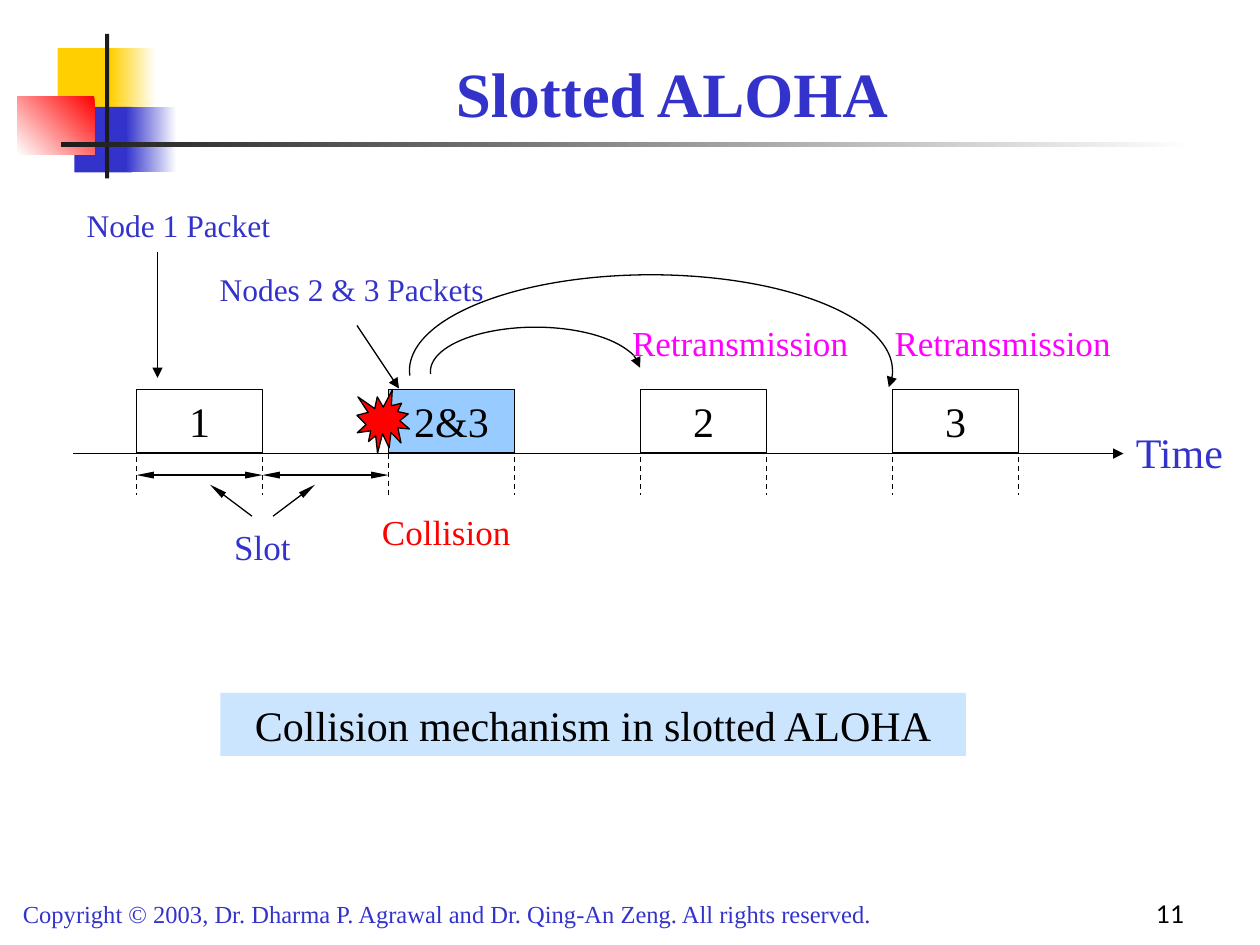
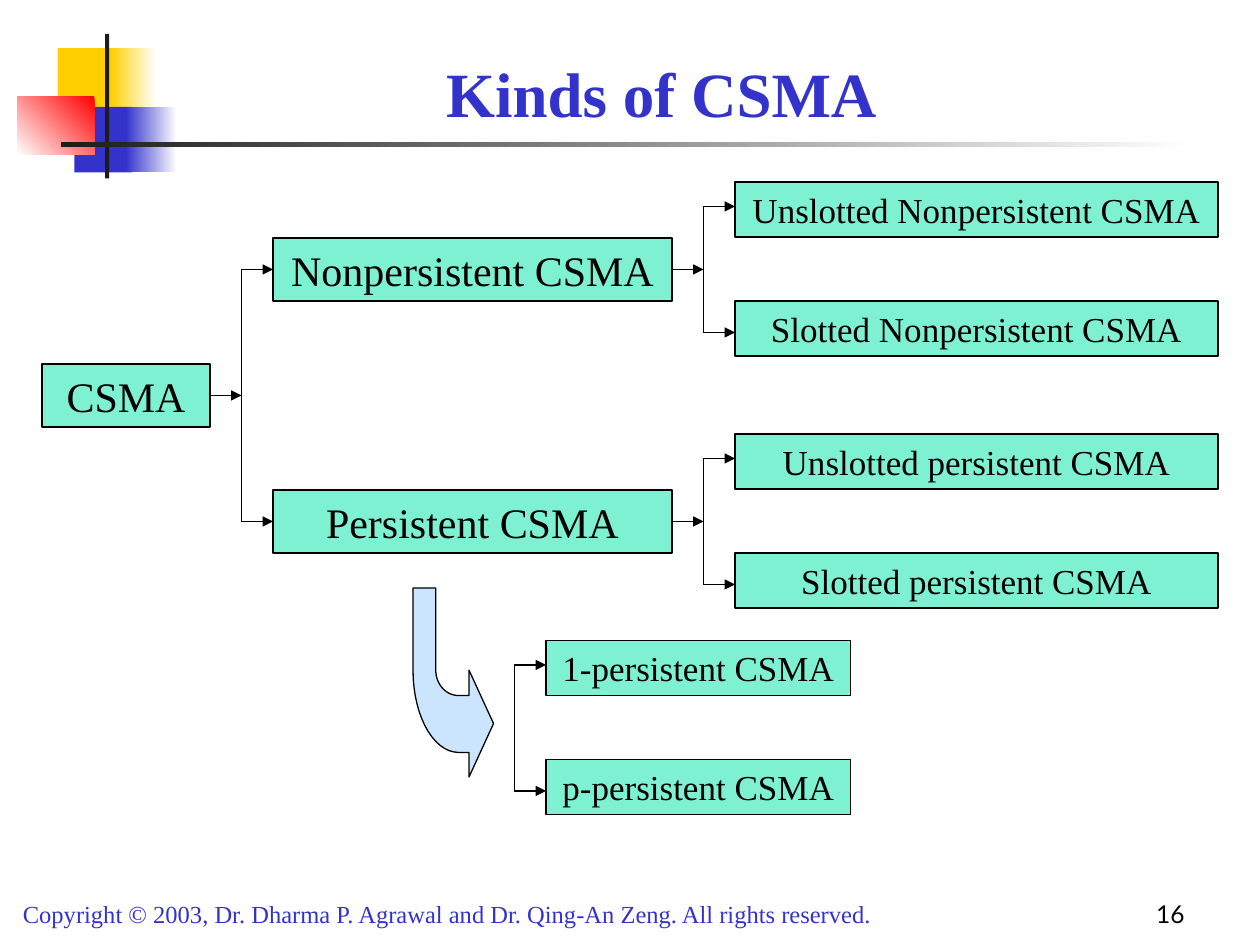
from dataclasses import dataclass
from math import cos, radians, sin
from typing import Any, NamedTuple, Optional

from pptx import Presentation
from pptx.dml.color import RGBColor
from pptx.enum.dml import MSO_LINE_DASH_STYLE as Dash
from pptx.enum.shapes import MSO_CONNECTOR_TYPE as ConnectorType, MSO_SHAPE as Preset
from pptx.enum.text import MSO_VERTICAL_ANCHOR as Anchor, PP_PARAGRAPH_ALIGNMENT as Align
from pptx.oxml.ns import qn
from pptx.util import Pt
from lxml.etree import SubElement


@dataclass(frozen=True)
class Theme:
    blue: str = "3333CC"
    yellow: str = "FFCF01"
    red: str = "FF0000"
    magenta: str = "FF00FF"
    charcoal: str = "1C1C1C"
    black: str = "000000"
    white: str = "FFFFFF"
    packet: str = "3399FF"
    sky: str = "99CCFF"
    mint: str = "00E4A8"
    serif: str = "Times New Roman"
    sans: str = "Lato"
    title: int = 36
    large: int = 24
    medium: int = 20
    label: int = 18
    small: int = 14
    line: float = 0.75


THEME = Theme()
COPYRIGHT = ("Copyright © 2003, Dr. Dharma P. Agrawal and Dr. Qing-An Zeng. "
             "All rights reserved.")


class Box(NamedTuple):
    left: float
    top: float
    width: float
    height: float


class Fill(NamedTuple):
    color: str
    alpha: int = 100
    end: Optional[str] = None
    angle: int = 180


class Label(NamedTuple):
    text: str
    box: Box
    size: int
    color: str = THEME.blue
    align: Align = Align.CENTER
    anchor: Anchor = Anchor.TOP
    font: str = THEME.serif
    bold: bool = False


class Block(NamedTuple):
    box: Box
    fill: Optional[Fill] = None
    outlined: bool = True
    text: str = ""
    size: int = THEME.large
    preset: Preset = Preset.RECTANGLE


class Line(NamedTuple):
    x1: float
    y1: float
    x2: float
    y2: float
    ends: tuple = ()
    slim: bool = False
    dashed: bool = False


class Fork(NamedTuple):
    left: float
    middle: float
    spread: float
    inlet: bool = True


DECORATION = [
    Block(Box(33, 27.5, 35, 37), Fill(THEME.yellow), False),
    Block(Box(63, 27.5, 26, 37), Fill(THEME.white, end=THEME.yellow), False),
    Block(Box(42.5, 61, 33, 37.5), Fill(THEME.blue), False),
    Block(Box(72, 61, 29, 37.5), Fill(THEME.white, end=THEME.blue), False),
    Block(Box(10, 55, 44, 33.5), Fill(THEME.red, end=THEME.white, angle=225), False),
    Block(Box(60, 19.3, 2.4, 82.7), Fill(THEME.charcoal), False),
    Block(Box(35, 81.2, 648, 2.6), Fill(THEME.white, end=THEME.charcoal), False),
]


def apply(target: Any, values: dict) -> None:
    for name, value in values.items():
        setattr(target, name, value)


def rgb(color: str) -> RGBColor:
    return RGBColor.from_string(color)


def paint(shape: Any, fill: Optional[Fill]) -> None:
    if fill is None:
        shape.fill.background()
    elif fill.end:
        shape.fill.gradient()
        shape.fill.gradient_angle = fill.angle
        for stop, color in zip(shape.fill.gradient_stops, (fill.color, fill.end)):
            stop.color.rgb = rgb(color)
    else:
        shape.fill.solid()
        shape.fill.fore_color.rgb = rgb(fill.color)
        if fill.alpha < 100:
            color = shape.element.spPr.find(qn("a:solidFill"))[0]
            SubElement(color, qn("a:alpha")).set("val", str(fill.alpha * 1000))


def outline(shape: Any) -> None:
    shape.line.color.rgb = rgb(THEME.black)
    shape.line.width = Pt(THEME.line)


def add_arrowheads(shape: Any, ends: tuple, slim: bool = False) -> None:
    line = shape.element.spPr.find(qn("a:ln"))
    for end in ends:
        head = SubElement(line, qn(f"a:{end}End"))
        head.set("type", "triangle")
        head.set("w", "sm" if slim else "med")
        head.set("len", "lg" if slim else "med")


def write(shape: Any, label: Label) -> None:
    frame = shape.text_frame
    apply(frame, {
        "word_wrap": True, "vertical_anchor": label.anchor,
        "margin_left": Pt(7.2), "margin_right": Pt(7.2),
        "margin_top": Pt(3.6), "margin_bottom": Pt(3.6),
    })
    paragraph = frame.paragraphs[0]
    paragraph.alignment = label.align
    run = paragraph.add_run()
    run.text = label.text
    apply(run.font, {"name": label.font, "size": Pt(label.size), "bold": label.bold})
    run.font.color.rgb = rgb(label.color)


def add_label(slide: Any, label: Label) -> None:
    write(slide.shapes.add_textbox(*map(Pt, label.box)), label)


def add_block(slide: Any, block: Block) -> Any:
    shape = slide.shapes.add_shape(block.preset, *map(Pt, block.box))
    shape.shadow.inherit = False
    paint(shape, block.fill)
    if block.outlined:
        outline(shape)
    else:
        shape.line.fill.background()
    if block.text:
        write(shape, Label(block.text, block.box, block.size, THEME.black))
    return shape


def add_line(slide: Any, line: Line) -> None:
    connector = slide.shapes.add_connector(
        ConnectorType.STRAIGHT, *map(Pt, (line.x1, line.y1, line.x2, line.y2)))
    outline(connector)
    if line.dashed:
        connector.line.dash_style = Dash.DASH
    add_arrowheads(connector, line.ends, line.slim)
    SubElement(connector.element.spPr, qn("a:effectLst"))


def add_arc(slide: Any, box: Box, start: float, end: float) -> None:
    arc = add_block(slide, Block(box, preset=Preset.ARC))
    for index, degrees in enumerate((start, end)):
        arc.adjustments[index] = degrees * 0.6
    add_arrowheads(arc, ("tail",))


def add_fork(slide: Any, fork: Fork) -> None:
    stem = fork.left - 18
    arms = (fork.middle - fork.spread, fork.middle + fork.spread)
    if fork.inlet:
        add_line(slide, Line(stem - 18, fork.middle, stem, fork.middle, ("tail",)))
    add_line(slide, Line(stem, arms[0], stem, arms[1]))
    for arm in arms:
        add_line(slide, Line(stem, arm, fork.left, arm, ("tail",)))


def add_frame(presentation: Any, title: str, left: float, number: str) -> Any:
    slide = presentation.slides.add_slide(presentation.slide_layouts[6])
    for block in DECORATION:
        add_block(slide, block)
    for label in (
        Label(COPYRIGHT, Box(6, 510, 546, 24.5), THEME.small, align=Align.LEFT),
        Label(title, Box(left, 12, 612, 66), THEME.title, anchor=Anchor.BOTTOM, bold=True),
        Label(number, Box(534, 498, 150, 36), THEME.small, THEME.black,
              Align.RIGHT, Anchor.BOTTOM, THEME.sans),
    ):
        add_label(slide, label)
    return slide


def build_slotted_aloha(presentation: Any) -> None:
    slide = add_frame(presentation, "Slotted ALOHA", 78, "11")
    slot, first, axis = 72, 78, 259.2
    add_line(slide, Line(42, axis, 642, axis, ("tail",)))
    for index, packet in enumerate(("1", "2&3", "2", "3")):
        left = first + index * 2 * slot
        collided = packet == "2&3"
        add_block(slide, Block(Box(left, 222.5, slot, 36),
                               Fill(THEME.packet, 50) if collided else None, text=packet))
        for edge in (left, left + slot):
            top = axis if collided and edge == left else 235.5
            add_line(slide, Line(edge, top, edge, 283, dashed=True))
    add_block(slide, Block(Box(204, 223, 30, 36), Fill(THEME.red),
                           preset=Preset.EXPLOSION1))

    add_arc(slide, Box(246, 187, 120, 50.5), 178.6, 358)
    add_arc(slide, Box(234, 157, 276, 109.5), 178.8, 4)
    for line in (
        Line(first, 271.5, first + slot, 271.5, ("head", "tail"), True),
        Line(first + slot, 271.5, first + 2 * slot, 271.5, ("head", "tail"), True),
        Line(144, 295, 120, 277, ("tail",), True),
        Line(156, 295, 180, 277, ("tail",), True),
        Line(90, 144, 90, 216, ("tail",)),
        Line(204, 186, 228, 222, ("tail",)),
    ):
        add_line(slide, line)
    for label in (
        Label("Node 1 Packet", Box(42, 114, 120, 29), THEME.label),
        Label("Nodes 2 & 3 Packets", Box(114, 151, 174, 29), THEME.label),
        Label("Retransmission", Box(354, 180, 138, 31.5), THEME.medium, THEME.magenta),
        Label("Retransmission", Box(504, 180, 138, 31.5), THEME.medium, THEME.magenta),
        Label("Time", Box(642, 240, 66, 36), THEME.large, align=Align.LEFT),
        Label("Collision", Box(192, 288, 126, 31.5), THEME.medium, THEME.red),
        Label("Slot", Box(120, 296.5, 60, 31.5), THEME.medium),
    ):
        add_label(slide, label)
    add_block(slide, Block(Box(126, 396, 426, 36), Fill(THEME.sky, 50), False,
                           "Collision mechanism in slotted ALOHA"))


def quarter(radius_x: float, radius_y: float, degrees: range) -> list:
    return [(262 + radius_x * cos(radians(angle)), 383 + radius_y * sin(radians(angle)))
            for angle in degrees]


def add_turn_arrow(slide: Any) -> None:
    points = [(236, 336), *quarter(26, 47, range(180, 89, -6)),
              (268, 430), (268, 444), (282, 413.5), (268, 383), (268, 397.5),
              *quarter(13, 14.5, range(90, 181, 6)), (249, 336)]
    builder = slide.shapes.build_freeform(
        *(round(value * 100) for value in points[0]), scale=Pt(1) / 100)
    builder.add_line_segments(
        [(round(x * 100), round(y * 100)) for x, y in points[1:]], close=True)
    arrow = builder.convert_to_shape()
    arrow.shadow.inherit = False
    paint(arrow, Fill(THEME.sky, 50))
    outline(arrow)


def build_kinds_of_csma(presentation: Any) -> None:
    slide = add_frame(presentation, "Kinds of CSMA", 72, "16")
    mint = Fill(THEME.mint, 50)
    for text, left, middle, width in (
        ("CSMA", 24, 226, 96),
        ("Nonpersistent CSMA", 156, 154, 228),
        ("Persistent CSMA", 156, 298, 228),
    ):
        add_block(slide, Block(Box(left, middle - 18, width, 36), mint, text=text))
    add_fork(slide, Fork(156, 226, 72))
    for fork, width, kinds in (
        (Fork(420, 154, 36), 276,
         ("Unslotted Nonpersistent CSMA", "Slotted Nonpersistent CSMA")),
        (Fork(420, 298, 36), 276,
         ("Unslotted persistent CSMA", "Slotted persistent CSMA")),
        (Fork(312, 416, 36, False), 174, ("1-persistent CSMA", "p-persistent CSMA")),
    ):
        for text, offset in zip(kinds, (-50, 18)):
            add_block(slide, Block(Box(fork.left, fork.middle + offset, width, 31.5),
                                   mint, text=text, size=THEME.medium))
        add_fork(slide, fork)
    add_turn_arrow(slide)


def main() -> None:
    presentation = Presentation()
    apply(presentation, {"slide_width": Pt(720), "slide_height": Pt(540)})
    build_slotted_aloha(presentation)
    build_kinds_of_csma(presentation)
    presentation.save("out.pptx")


if __name__ == "__main__":
    main()
